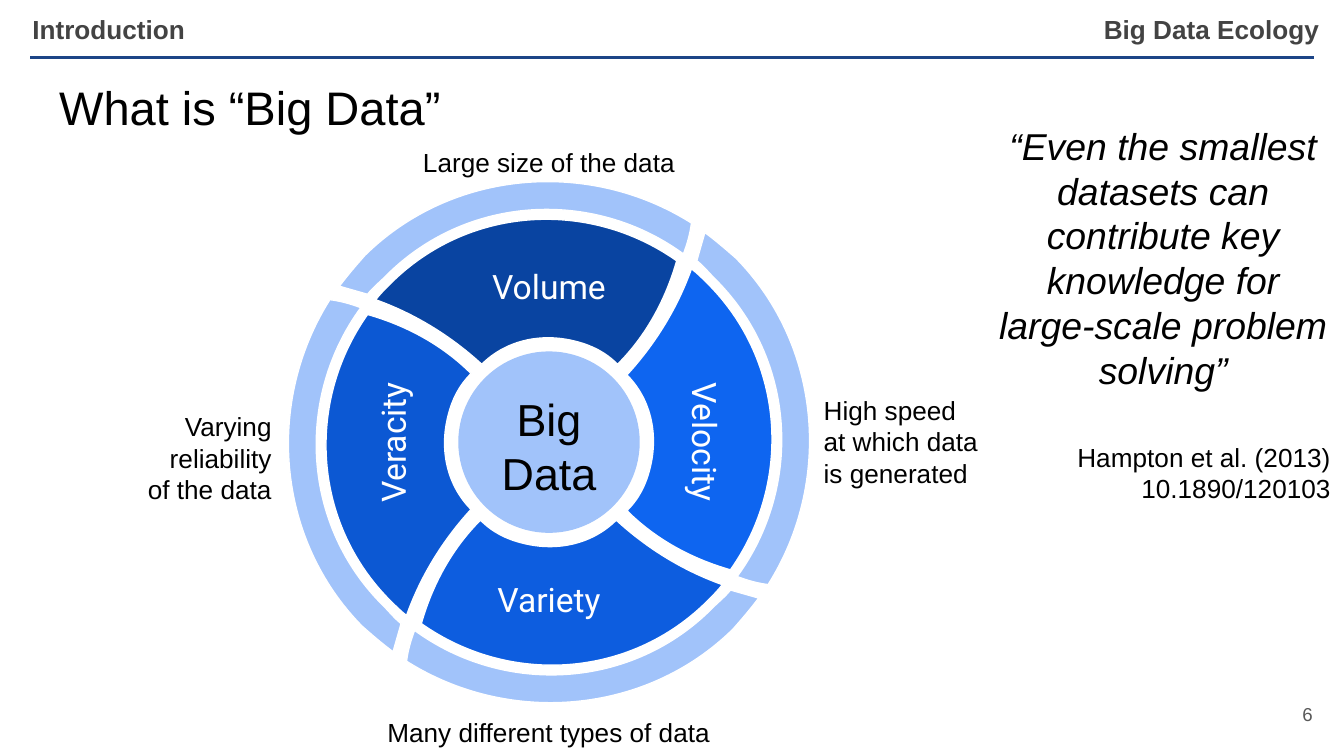
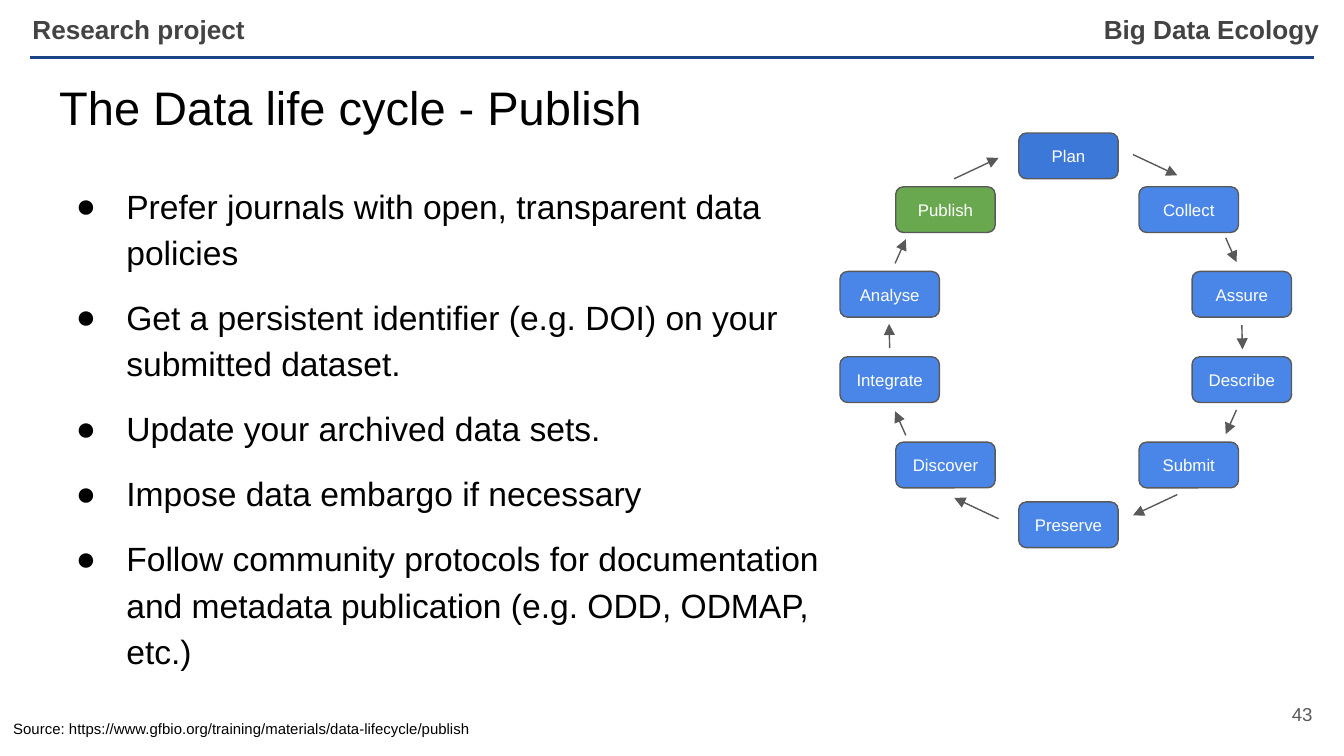
from dataclasses import dataclass
from math import cos, radians, sin

from lxml.etree import SubElement
from pptx import Presentation
from pptx.dml.color import RGBColor
from pptx.enum.shapes import MSO_CONNECTOR as Connector, MSO_SHAPE as Preset
from pptx.enum.text import MSO_ANCHOR as Anchor, MSO_AUTO_SIZE as AutoSize, PP_ALIGN as Align
from pptx.oxml.ns import qn
from pptx.util import Inches, Pt

BLACK = RGBColor(0x00, 0x00, 0x00)
WHITE = RGBColor(0xFF, 0xFF, 0xFF)
HEADER_GREY = RGBColor(0x43, 0x43, 0x43)
LINE_GREY = RGBColor(0x59, 0x59, 0x59)
RULE_BLUE = RGBColor(0x1C, 0x45, 0x87)
PALE_BLUE = RGBColor(0xA1, 0xC3, 0xFA)
VOLUME_BLUE = RGBColor(0x09, 0x44, 0xA1)
VELOCITY_BLUE = RGBColor(0x0E, 0x65, 0xF0)
VARIETY_BLUE = RGBColor(0x0D, 0x5D, 0xDF)
VERACITY_BLUE = RGBColor(0x0C, 0x58, 0xD3)
STEP_BLUE = RGBColor(0x4A, 0x86, 0xE8)
PLAN_BLUE = RGBColor(0x3C, 0x78, 0xD8)
PUBLISH_GREEN = RGBColor(0x6A, 0xA8, 0x4F)

COLUMNS, ROWS = 100, 56.25
CELL = Inches(0.1)
TILT = 45

VS = [("Volume", VOLUME_BLUE, 0), ("Velocity", VELOCITY_BLUE, 90),
      ("Variety", VARIETY_BLUE, 0), ("Veracity", VERACITY_BLUE, 270)]
RIM = [(-12.2, -12.3), (-6.2, -18.4), (3.3, -18.9), (10, -14),
       (10.3, -14.8), (10.5, -15.5), (10.6, -16.3),
       (3, -21.1), (-7.2, -20.3), (-13.7, -13.9),
       (-14.4, -13.1), (-15, -12.4), (-15.6, -11.6),
       (-14.9, -11.4), (-14.2, -11.2), (-13.5, -11),
       (-13.1, -11.5), (-12.6, -11.9), (-12.2, -12.3)]
PETAL = [(-11.8, -11.8), (-12.2, -11.4), (-12.6, -11), (-12.9, -10.6),
         (-10.1, -9.6), (-7.4, -8), (-5, -5.8),
         (-3.3, -7.5), (-0.7, -8.2), (2, -7.5),
         (3.2, -7.2), (4.2, -6.7), (5.1, -5.8),
         (7.3, -8), (8.7, -10.7), (9.5, -13.5),
         (3, -18.1), (-6, -17.6), (-11.8, -11.8)]

STEPS = [("Plan", 13.3, 0), ("Collect", 22.25, 4), ("Assure", 26.2, 10.3),
         ("Describe", 26.2, 16.65), ("Submit", 22.25, 23), ("Preserve", 13.3, 27.45),
         ("Discover", 4.15, 23), ("Integrate", 0, 16.65), ("Analyse", 0, 10.3),
         ("Publish", 4.15, 4)]
STEP_COLORS = {"Plan": PLAN_BLUE, "Publish": PUBLISH_GREEN}
RIGHT_ARROWS = [(21.8, 1.6, 25.1, 3.15), (28.7, 7.8, 29.5, 9.6), (29.9, 14.3, 29.95, 16.1),
                (29.5, 20.6, 28.7, 22.4), (25.1, 26.9, 21.8, 28.45)]

PUBLISHING_ADVICE = [
    "Prefer journals with open, transparent data policies",
    "Get a persistent identifier (e.g. DOI) on your submitted dataset.",
    "Update your archived data sets.",
    "Impose data embargo if necessary",
    "Follow community protocols for documentation and metadata publication "
    "(e.g. ODD, ODMAP, etc.)",
]


@dataclass
class Box:
    left: float
    top: float
    width: float
    height: float

    def inner(self, left, top, width, height):
        return Box(self.left + left, self.top + top, width, height)

    def around_center(self, x, y, width, height):
        return self.inner(self.width / 2 + x - width / 2,
                          self.height / 2 + y - height / 2, width, height)

    def emu(self):
        return [round(side * CELL) for side in (self.left, self.top, self.width, self.height)]


PAGE = Box(0, 0, COLUMNS, ROWS)


def write(paragraph, text, size=14, color=BLACK, font="Arial", bold=False, italic=False,
          align=Align.LEFT, before=0, after=0, spacing=1.0):
    paragraph.alignment = align
    paragraph.space_before, paragraph.space_after = Pt(before), Pt(after)
    paragraph.line_spacing = spacing
    run = paragraph.add_run()
    run.text = text
    run.font.name, run.font.size = font, Pt(size)
    run.font.bold, run.font.italic = bold, italic
    run.font.color.rgb = color


def prepare_frame(shape, anchor=Anchor.TOP):
    frame = shape.text_frame
    frame.word_wrap = True
    frame.auto_size = AutoSize.NONE
    frame.vertical_anchor = anchor
    frame.margin_left = frame.margin_right = frame.margin_top = frame.margin_bottom = CELL
    return frame


def add_text(slide, box, *lines, anchor=Anchor.TOP, rotation=0, **text_format):
    shape = slide.shapes.add_textbox(*box.emu())
    shape.rotation = rotation
    frame = prepare_frame(shape, anchor)
    for index, line in enumerate(lines):
        paragraph = frame.add_paragraph() if index else frame.paragraphs[0]
        write(paragraph, line, **text_format)
    return frame


def add_line(slide, box, start, end, color, width, arrow=False):
    points = [round(value * CELL) for x, y in (start, end)
              for value in (box.left + x, box.top + y)]
    connector = slide.shapes.add_connector(Connector.STRAIGHT, *points)
    connector.line.color.rgb = color
    connector.line.width = Pt(width)
    properties = connector.element.spPr
    if arrow:
        SubElement(properties.find(qn("a:ln")), qn("a:tailEnd"), type="triangle")
    SubElement(properties, qn("a:effectLst"))
    return connector


def place_placeholder(placeholder, box):
    placeholder.left, placeholder.top, placeholder.width, placeholder.height = box.emu()
    return prepare_frame(placeholder)


def add_slide(presentation, layout_index, section, title, number):
    slide = presentation.slides.add_slide(presentation.slide_layouts[layout_index])
    frame = place_placeholder(slide.shapes.title, PAGE.inner(3.4, 4.85, 93.2, 6.3))
    write(frame.paragraphs[0], title, size=25.2)
    add_text(slide, PAGE.inner(1.43, 0, 30.7, 4.4), section, color=HEADER_GREY, bold=True)
    add_text(slide, PAGE.inner(92.65, 51, 6, 4.3), number, anchor=Anchor.MIDDLE,
             size=10, color=LINE_GREY, align=Align.RIGHT)
    return slide


def add_master_header(presentation, slide):
    add_text(slide, PAGE.inner(54.95, 0, 44.2, 4.4), "Big Data Ecology",
             color=HEADER_GREY, bold=True, align=Align.RIGHT)
    heading = slide.shapes[-1]
    rule = add_line(slide, PAGE, (2.25, 4.3), (97.75, 4.3), RULE_BLUE, 1.5)
    for shape in (heading, rule):
        presentation.slide_master.shapes.element.append(shape.element)


def turn(x, y, degrees):
    angle = radians(degrees)
    return x * cos(angle) - y * sin(angle), x * sin(angle) + y * cos(angle)


def bend_segments(shape):
    outline = next(shape.element.iter(qn("a:path")))
    segments = outline.findall(qn("a:lnTo"))
    for index in range(0, len(segments), 3):
        curve = SubElement(outline, qn("a:cubicBezTo"))
        segments[index].addprevious(curve)
        for segment in segments[index:index + 3]:
            curve.append(segment[0])
            outline.remove(segment)


def add_wheel_piece(slide, wheel, outline, degrees, color):
    center_x, center_y = wheel.around_center(0, 0, 0, 0).emu()[:2]
    points = []
    for point in outline:
        x, y = turn(*point, degrees + TILT)
        points.append((center_x + x * CELL, center_y + y * CELL))
    builder = slide.shapes.build_freeform(*points[0])
    builder.add_line_segments(points[1:], close=True)
    shape = builder.convert_to_shape()
    bend_segments(shape)
    x, y = turn(shape.left + shape.width / 2 - center_x,
                shape.top + shape.height / 2 - center_y, -TILT)
    shape.left = round(center_x + x - shape.width / 2)
    shape.top = round(center_y + y - shape.height / 2)
    shape.rotation = 360 - TILT
    shape.shadow.inherit = False
    shape.fill.solid()
    shape.fill.fore_color.rgb = color
    shape.line.color.rgb = WHITE
    shape.line.width = Pt(0.75)


def add_wheel(slide, wheel):
    hub = slide.shapes.add_shape(Preset.OVAL, *wheel.around_center(0, 0, 13.5, 13.5).emu())
    hub.shadow.inherit = False
    hub.fill.solid()
    hub.fill.fore_color.rgb = PALE_BLUE
    hub.line.fill.background()
    for quarter, (name, color, rotation) in enumerate(VS):
        degrees = 90 * quarter
        add_wheel_piece(slide, wheel, RIM, degrees, PALE_BLUE)
        add_wheel_piece(slide, wheel, PETAL, degrees, color)
        x, y = turn(0, -11.65, degrees)
        add_text(slide, wheel.around_center(x, y, 15.3, 5.8), name, anchor=Anchor.MIDDLE,
                 rotation=rotation, size=18, font="Roboto", color=WHITE, align=Align.CENTER)
    add_text(slide, wheel.around_center(0, 0.3, 9.7, 10.1), "Big Data",
             size=24, align=Align.CENTER)
    add_text(slide, wheel.inner(4.7, -3.6, 29.5, 4.4), "Large size of the data",
             align=Align.CENTER)
    add_text(slide, wheel.inner(5.13, 38.8, 28.6, 4.4), "Many different types of data",
             align=Align.CENTER)
    add_text(slide, wheel.inner(38.9, 14.85, 13.9, 9.1),
             "High speed at which data is generated")
    add_text(slide, wheel.inner(-13.4, 16.05, 13.2, 9.1), "Varying reliability", "of the data",
             align=Align.RIGHT)


def add_quote(slide, box):
    frame = add_text(
        slide, box,
        "“Even the smallest datasets can contribute key knowledge for "
        "large-scale problem solving”",
        size=20, italic=True, align=Align.CENTER)
    write(frame.add_paragraph(), "Hampton et al. (2013) 10.1890/120103",
          align=Align.RIGHT, before=26.5)


def add_bullets(placeholder, box, items):
    frame = place_placeholder(placeholder, box)
    for index, item in enumerate(items):
        paragraph = frame.paragraphs[0] if index == 0 else frame.add_paragraph()
        properties = paragraph._p.get_or_add_pPr()
        properties.set("marL", str(Inches(0.5)))
        properties.set("indent", str(Pt(-27)))
        bullet_color = SubElement(properties, qn("a:buClr"))
        SubElement(bullet_color, qn("a:srgbClr"), val=str(BLACK))
        SubElement(properties, qn("a:buChar"), char="●")
        write(paragraph, item, size=18, spacing=1.15, before=10 if index else 0,
              after=10 if index == len(items) - 1 else 0)


def add_life_cycle(slide, cycle):
    for name, left, top in STEPS:
        step = slide.shapes.add_shape(Preset.ROUNDED_RECTANGLE,
                                      *cycle.inner(left, top, 7.4, 3.4).emu())
        step.shadow.inherit = False
        step.fill.solid()
        step.fill.fore_color.rgb = STEP_COLORS.get(name, STEP_BLUE)
        step.line.color.rgb = LINE_GREY
        step.line.width = Pt(0.75)
        frame = prepare_frame(step, Anchor.MIDDLE)
        frame.word_wrap = False
        write(frame.paragraphs[0], name, size=9, color=WHITE, align=Align.CENTER)
    left_arrows = [(cycle.width - x1, cycle.height - y1, cycle.width - x2, cycle.height - y2)
                   for x1, y1, x2, y2 in RIGHT_ARROWS]
    for x1, y1, x2, y2 in RIGHT_ARROWS + left_arrows:
        add_line(slide, cycle, (x1, y1), (x2, y2), LINE_GREY, 0.75, arrow=True)


def add_big_data_slide(presentation):
    slide = add_slide(presentation, 5, "Introduction", "What is “Big Data”", "6")
    add_wheel(slide, PAGE.inner(21.4, 13.5, 38.9, 38.8))
    add_quote(slide, PAGE.inner(73.1, 8.15, 26.9, 34.3))
    return slide


def add_publish_slide(presentation):
    slide = add_slide(presentation, 1, "Research project", "The Data life cycle - Publish", "43")
    add_bullets(slide.placeholders[1], PAGE.inner(3.4, 12.35, 59.1, 38.6), PUBLISHING_ADVICE)
    add_life_cycle(slide, PAGE.inner(62.5, 9.9, 33.6, 30.3))
    add_text(slide, PAGE.inner(0, 52.55, 43.4, 3.4),
             "Source: https://www.gfbio.org/training/materials/data-lifecycle/publish", size=8)


def main():
    presentation = Presentation()
    presentation.slide_width = COLUMNS * CELL
    presentation.slide_height = round(ROWS * CELL)
    big_data_slide = add_big_data_slide(presentation)
    add_master_header(presentation, big_data_slide)
    add_publish_slide(presentation)
    presentation.save("out.pptx")


if __name__ == "__main__":
    main()
